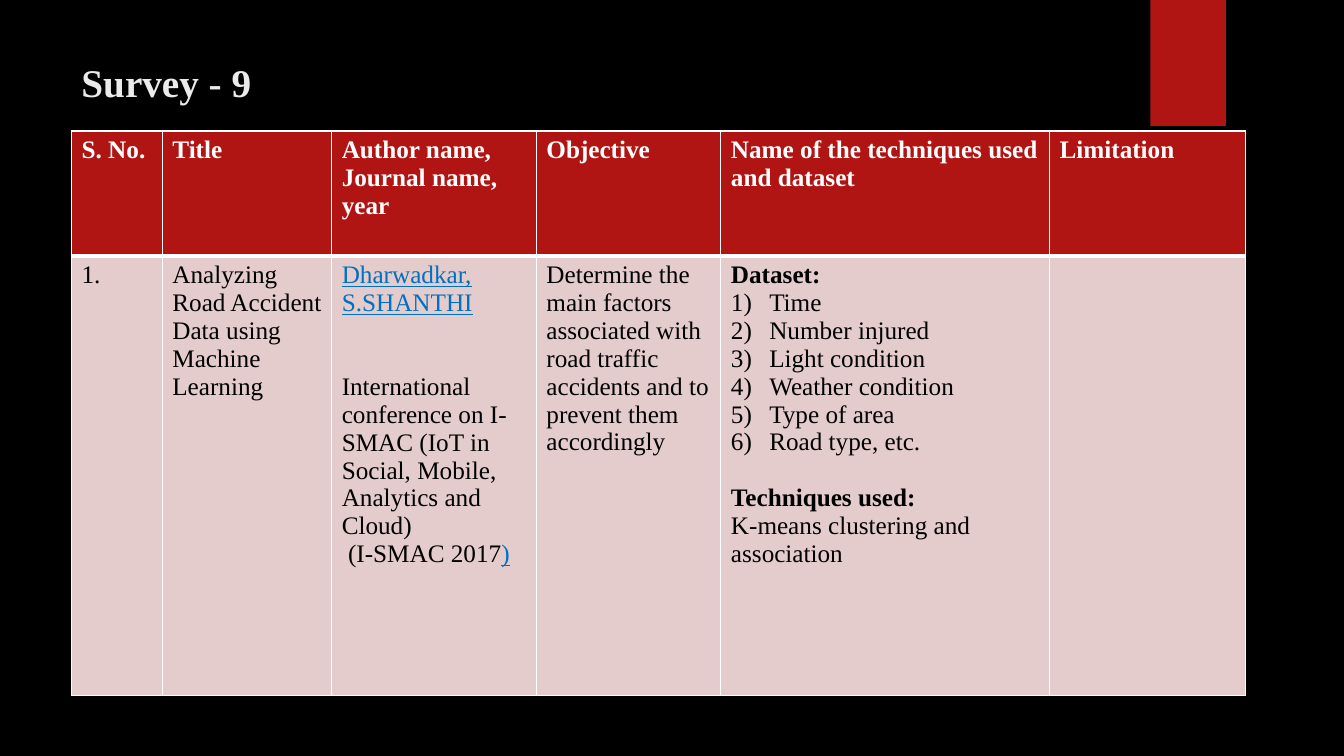
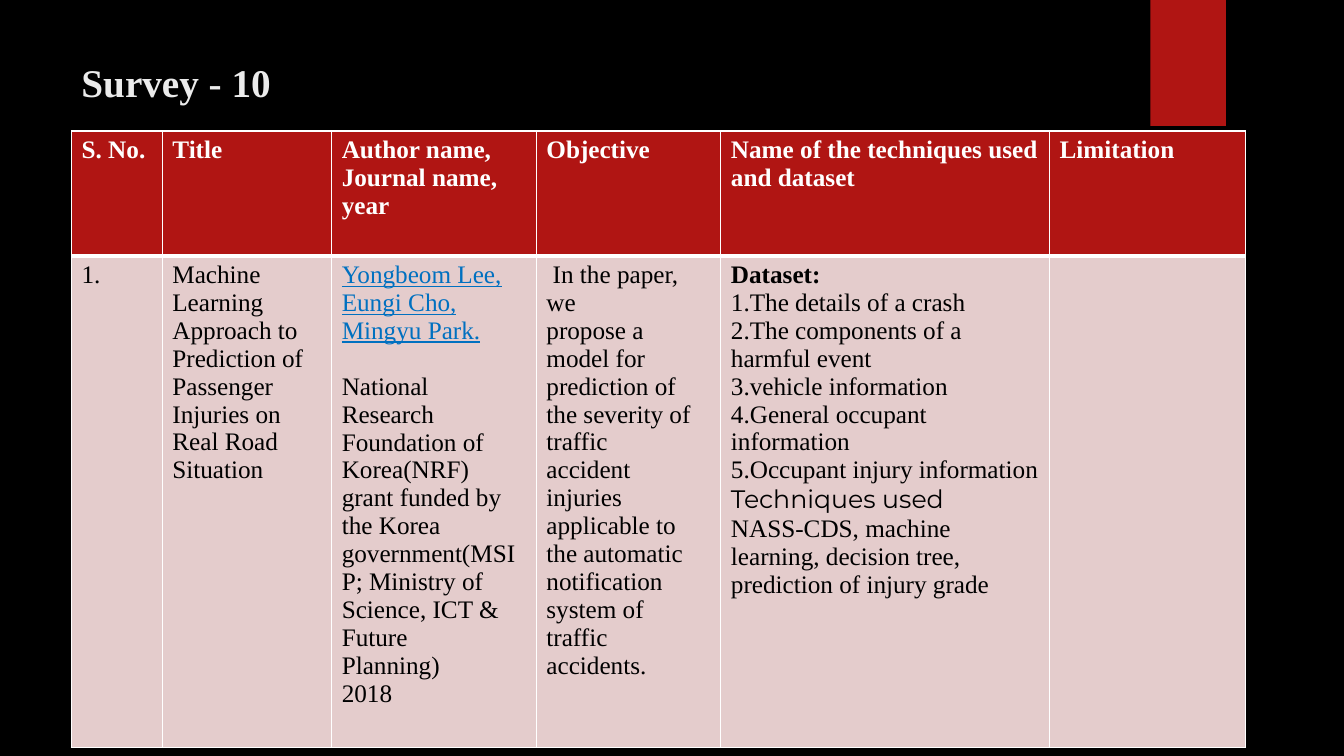
from pptx import Presentation
from pptx import util as u
from pptx.dml.color import RGBColor
from pptx.enum import shapes, text
from pptx.oxml import parse_xml
from pptx.oxml.ns import nsdecls

BLACK = RGBColor(0, 0, 0)
WHITE = RGBColor(0xFF, 0xFF, 0xFF)
PALE = RGBColor(0xEB, 0xEB, 0xEB)
RED = RGBColor(0xB0, 0x15, 0x13)
ROSE = RGBColor(0xE4, 0xCC, 0xCC)
BLUE = RGBColor(0x00, 0x70, 0xC0)

SERIF = "Times New Roman"
BODY = {"name": SERIF, "size": u.Pt(18), "bold": False, "rgb": BLACK}
BOLD = {**BODY, "bold": True}
HEAD = {**BOLD, "rgb": WHITE}
LINK = {**BODY, "underline": True, "rgb": BLUE}
SANS = {**BODY, "name": "Montserrat"}
TITLE = {**HEAD, "size": u.Pt(28), "rgb": PALE}

LINE = 20
COLS = [0.9, 1.68, 2.03, 1.83, 3.26, 1.94]
ROWS = [1.24, 4.36]


def para(*runs, gap=0, item=False):
    return {"runs": runs, "gap": gap, "item": item}


def lines(style, *texts):
    return [para((line, style)) for line in texts]


def items(*texts):
    return [para((line, BODY), item=True) for line in texts]


HEADS = [
    lines(HEAD, "S. No."),
    lines(HEAD, "Title"),
    lines(HEAD, "Author name, Journal name,", "year"),
    lines(HEAD, "Objective"),
    lines(HEAD, "Name of the techniques used and dataset"),
    lines(HEAD, "Limitation"),
]

SURVEYS = {
    "Survey - 9": [
        lines(BODY, "1."),
        lines(BODY, "Analyzing Road Accident Data using Machine", "Learning"),
        lines(LINK, "Dharwadkar,", "S.SHANTHI") + [
            para(("International conference on I-SMAC (IoT in Social, "
                  "Mobile, Analytics and Cloud)", BODY), gap=2 * LINE),
            para((" (I-SMAC 2017", BODY), (")", LINK)),
        ],
        lines(BODY, "Determine the main factors associated with road traffic "
                    "accidents and to prevent them accordingly"),
        lines(BOLD, "Dataset:")
        + items("Time", "Number injured", "Light condition",
                "Weather condition", "Type of area", "Road type, etc.")
        + [para(("Techniques used:", BOLD), gap=LINE)]
        + lines(BODY, "K-means clustering and association"),
        [],
    ],
    "Survey - 10": [
        lines(BODY, "1."),
        lines(BODY, "Machine Learning Approach to Prediction of",
              "Passenger Injuries on Real Road Situation"),
        lines(LINK, "Yongbeom Lee,", "Eungi Cho,", "Mingyu Park.")
        + [para(("National Research", BODY), gap=LINE)]
        + lines(BODY, "Foundation of Korea(NRF) grant funded by the Korea",
                "government(MSIP; Ministry of Science, ICT & Future",
                "Planning)", "2018"),
        lines(BODY, " In the paper, we",
              "propose a model for prediction of the severity of traffic",
              "accident injuries applicable to the automatic notification",
              "system of traffic accidents."),
        lines(BOLD, "Dataset:")
        + lines(BODY, "1.The details of a crash",
                "2.The components of a harmful event",
                "3.vehicle information", "4.General occupant information",
                "5.Occupant injury information")
        + lines(SANS, "Techniques used")
        + lines(BODY, "NASS-CDS, machine learning, decision tree,",
                "prediction of injury grade"),
        [],
    ],
}


def style(font, form):
    for key, val in form.items():
        setattr(font.color if key == "rgb" else font, key, val)


def number(par):
    props = par._p.get_or_add_pPr()
    props.set("marL", str(u.Inches(0.38)))
    props.set("indent", str(u.Inches(-0.38)))
    props.append(parse_xml(
        f'<a:buAutoNum {nsdecls("a")} type="arabicParenR"/>'))


def write(frame, paras):
    for at, data in enumerate(paras):
        par = frame.add_paragraph() if at else frame.paragraphs[0]
        if data["gap"]:
            par.space_before = u.Pt(data["gap"])
        if data["item"]:
            number(par)
        for words, form in data["runs"]:
            run = par.add_run()
            run.text = words
            style(run.font, form)


def border(cell, widths):
    props = cell._tc.get_or_add_tcPr()
    for side, width in widths.items():
        props.append(parse_xml(
            f'<a:ln{side} {nsdecls("a")} w="{u.Pt(width)}"><a:solidFill>'
            f'<a:srgbClr val="{WHITE}"/></a:solidFill></a:ln{side}>'))


def paint(fill, color):
    fill.solid()
    fill.fore_color.rgb = color


def band(slide, left, top, width, height):
    bar = slide.shapes.add_shape(
        shapes.MSO_SHAPE.RECTANGLE,
        *map(u.Inches, (left, top, width, height)))
    bar.shadow.inherit = False
    paint(bar.fill, RED)
    bar.line.fill.background()


def title(slide, left, top, width, height, words):
    box = slide.shapes.add_textbox(
        *map(u.Inches, (left, top, width, height)))
    form = {"word_wrap": True, "margin_top": u.Inches(0.08),
            "vertical_anchor": text.MSO_ANCHOR.TOP}
    for key, val in form.items():
        setattr(box.text_frame, key, val)
    write(box.text_frame, lines(TITLE, words))


def grid(slide, left, top, cells):
    table = slide.shapes.add_table(
        len(ROWS), len(COLS),
        *map(u.Inches, (left, top, sum(COLS), sum(ROWS)))).table
    table.horz_banding = False
    for col, width in zip(table.columns, COLS):
        col.width = u.Inches(width)
    looks = [(RED, {"L": 1, "R": 1, "T": 1, "B": 3}),
             (ROSE, {"L": 1, "R": 1, "T": 3, "B": 1})]
    for row, high, data, (color, edges) in zip(
            table.rows, ROWS, [HEADS, cells], looks):
        row.height = u.Inches(high)
        for cell, paras in zip(row.cells, data):
            border(cell, edges)
            paint(cell.fill, color)
            write(cell.text_frame, paras)


def survey(deck, name, cells):
    slide = deck.slides.add_slide(deck.slide_layouts[6])
    paint(slide.background.fill, BLACK)
    band(slide, 11.41, 0, 0.75, 1.25)
    title(slide, 0.71, 0.5, 11.36, 0.8, name)
    grid(slide, 0.71, 1.3, cells)


def main():
    deck = Presentation()
    deck.slide_width = u.Inches(13.33)
    deck.slide_height = u.Inches(7.5)
    for name, cells in SURVEYS.items():
        survey(deck, name, cells)
    deck.save("out.pptx")


if __name__ == "__main__":
    main()
